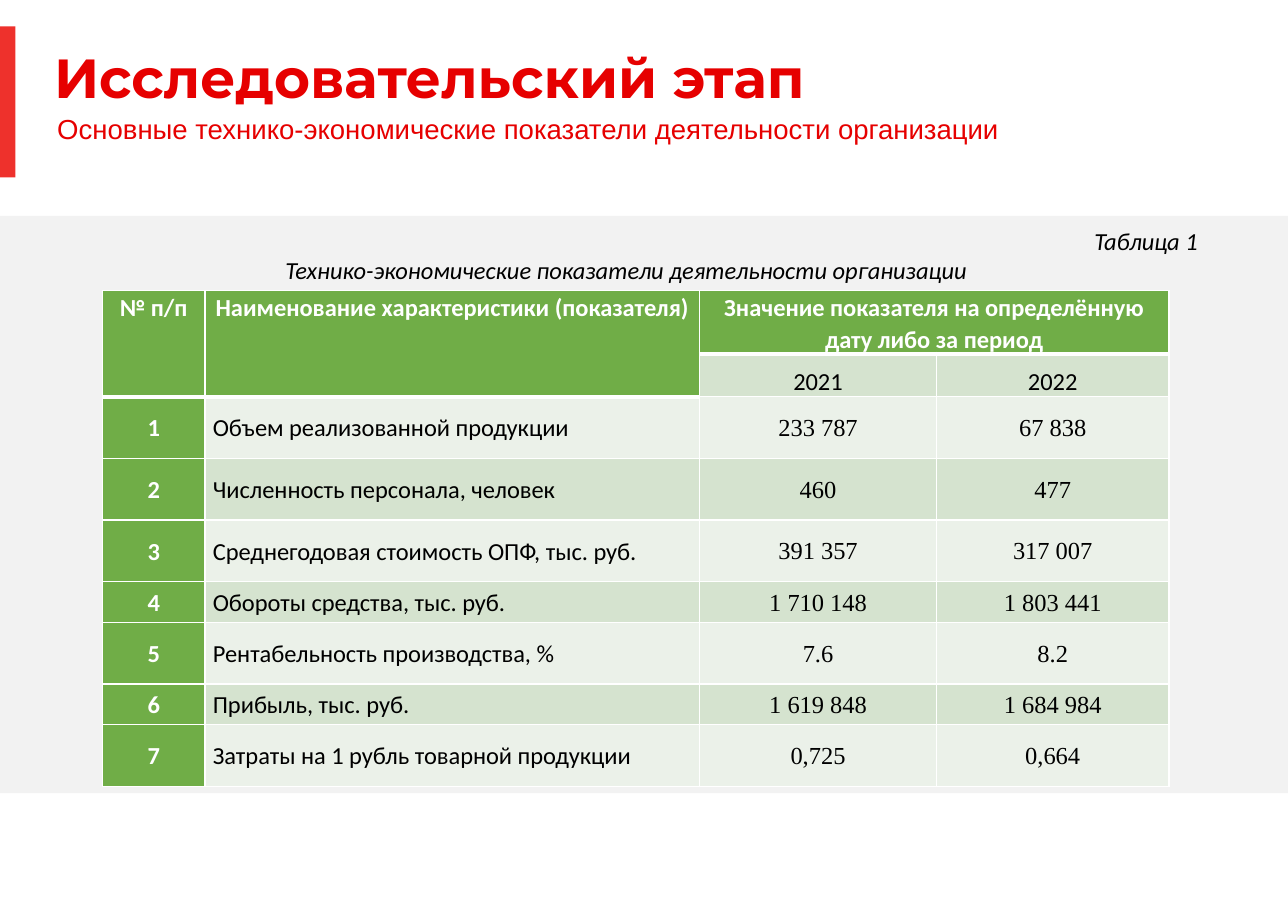
from lxml import etree
from pptx import Presentation
from pptx.dml.color import RGBColor
from pptx.enum.shapes import MSO_SHAPE
from pptx.enum.text import MSO_ANCHOR, PP_ALIGN
from pptx.oxml.ns import qn
from pptx.util import Pt

RECT = MSO_SHAPE.RECTANGLE
TOP, MIDDLE, BOTTOM = MSO_ANCHOR.TOP, MSO_ANCHOR.MIDDLE, MSO_ANCHOR.BOTTOM
LEFT, CENTER, RIGHT, JUSTIFY = (PP_ALIGN.LEFT, PP_ALIGN.CENTER,
                                PP_ALIGN.RIGHT, PP_ALIGN.JUSTIFY)

COLORS = {"white": "FFFFFF", "black": "000000", "red": "E60000",
          "bar": "EE312C", "panel": "F2F2F2", "green": "70AD47",
          "band_dark": "D5E3CF", "band_light": "EBF1E9"}

TITLE = {"name": "Montserrat", "size": Pt(36), "bold": True, "color": "red"}
SUBTITLE = {"name": "Arial", "size": Pt(18), "color": "red"}
CAPTION = {"name": "Calibri", "size": Pt(16), "italic": True, "color": "black"}
HEAD = {"name": "Calibri", "size": Pt(16), "bold": True, "color": "white"}
BODY = {"name": "Calibri", "size": Pt(16), "bold": False, "color": "black"}
NUMBER = {**BODY, "name": "Times New Roman"}

COLUMNS = [66.96, 323.28, 154.8, 151.92]
TALL, SHORT = 40.32, 26.64
ROWS = [TALL, 28.08, TALL, TALL, TALL, SHORT, TALL, SHORT, TALL]
HEADERS = [
    ["№ п/п", "Наименование характеристики (показателя)",
     "Значение показателя на определённую дату либо за период", ""],
    ["", "", "2021", "2022"],
]
INDICATORS = [
    ("Объем реализованной продукции", "233 787", "67 838"),
    ("Численность персонала, человек", "460", "477"),
    ("Среднегодовая стоимость ОПФ, тыс. руб.", "391 357", "317 007"),
    ("Обороты средства, тыс. руб.", "1 710 148", "1 803 441"),
    ("Рентабельность производства, %", "7.6", "8.2"),
    ("Прибыль, тыс. руб.", "1 619 848", "1 684 984"),
    ("Затраты на 1 рубль товарной продукции", "0,725", "0,664"),
]


def rgb(name):
    return RGBColor.from_string(COLORS[name])


def cell_style(row, col):
    """Return the font, fill, alignment and anchor for a table position."""
    band = "band_dark" if row % 2 else "band_light"
    if row == 0 or col == 0:
        anchor = MIDDLE if row > 1 else BOTTOM if col > 1 else TOP
        return HEAD, "green", CENTER, anchor
    if row == 1:
        return (HEAD, "green", CENTER, TOP) if col == 1 else (BODY, band, CENTER, BOTTOM)
    return (BODY, band, JUSTIFY, MIDDLE) if col == 1 else (NUMBER, band, CENTER, MIDDLE)


class SlideBuilder:
    def __init__(self, slide):
        self.slide = slide

    def rect(self, x, y, w, h, color):
        sp = self.slide.shapes.add_shape(RECT, Pt(x), Pt(y), Pt(w), Pt(h))
        sp.shadow.inherit = False
        sp.fill.solid()
        sp.fill.fore_color.rgb = rgb(color)
        sp.line.fill.background()

    def paragraph(self, p, text, style, align, spacing):
        p.alignment = align
        p.line_spacing = spacing
        r = p.add_run()
        r.text = text
        for key, value in style.items():
            if key == "color":
                r.font.color.rgb = rgb(value)
            else:
                setattr(r.font, key, value)

    def text(self, x, y, w, h, lines, style, anchor=TOP, spacing=1.0,
             insets=(7.2, 3.6, 7.2, 3.6)):
        """Add a text box; lines holds (text, alignment) pairs."""
        tf = self.slide.shapes.add_textbox(Pt(x), Pt(y), Pt(w), Pt(h)).text_frame
        tf.word_wrap = True
        tf.vertical_anchor = anchor
        for side, inset in zip(("left", "top", "right", "bottom"), insets):
            setattr(tf, f"margin_{side}", Pt(inset))
        for i, (line, align) in enumerate(lines):
            p = tf.add_paragraph() if i else tf.paragraphs[0]
            self.paragraph(p, line, style, align, spacing)

    def borders(self, cell, top, bottom):
        tc_pr = cell._tc.get_or_add_tcPr()
        for tag, width in (("lnL", 1), ("lnR", 1), ("lnT", top), ("lnB", bottom)):
            ln = etree.SubElement(tc_pr, qn(f"a:{tag}"), w=str(Pt(width)))
            fill = etree.SubElement(ln, qn("a:solidFill"))
            etree.SubElement(fill, qn("a:srgbClr"), val=COLORS["white"])

    def table(self, x, y, columns, rows, data):
        table = self.slide.shapes.add_table(
            len(rows), len(columns), Pt(x), Pt(y),
            Pt(sum(columns)), Pt(sum(rows))).table
        for column, width in zip(table.columns, columns):
            column.width = Pt(width)
        for row, height in zip(table.rows, rows):
            row.height = Pt(height)
        for first, last in (((0, 0), (1, 0)), ((0, 1), (1, 1)), ((0, 2), (0, 3))):
            table.cell(*first).merge(table.cell(*last))
        for i, values in enumerate(data):
            for j, value in enumerate(values):
                self.cell(table.cell(i, j), i, j, value)

    def cell(self, cell, row, col, value):
        style, color, align, anchor = cell_style(row, col)
        head_end = 1 if col < 2 else 0
        self.borders(cell, 3 if row == head_end + 1 else 1,
                     3 if row <= head_end else 1)
        cell.fill.solid()
        cell.fill.fore_color.rgb = rgb(color)
        cell.vertical_anchor = anchor
        cell.margin_left = cell.margin_right = Pt(5.2)
        cell.margin_top = cell.margin_bottom = 0
        if value:
            self.paragraph(cell.text_frame.paragraphs[0], value, style, align, 1.07)


def main():
    prs = Presentation()
    prs.slide_width, prs.slide_height = Pt(841.68), Pt(595.44)
    s = SlideBuilder(prs.slides.add_slide(prs.slide_layouts[6]))

    s.rect(0, 141.12, 841.68, 377.28, "panel")
    s.rect(0, 17.28, 10.08, 98.64, "bar")
    s.text(35.28, 33.12, 762.48, 39.6, [("Исследовательский этап", LEFT)],
           TITLE, MIDDLE, 0.9, (0, 0, 0, 0))
    s.text(22.32, 66.24, 773.28, 33.12,
           [("Основные технико-экономические показатели деятельности организации", LEFT)],
           SUBTITLE, BOTTOM, 0.9, (15.12, 4.32, 7.92, 4.32))

    numbered = [(str(n), *values) for n, values in enumerate(INDICATORS, 1)]
    s.table(66.96, 190.08, COLUMNS, ROWS, HEADERS + numbered)
    s.text(28.8, 144, 761.04, 46.08,
           [("Таблица 1", RIGHT),
            ("Технико-экономические показатели деятельности организации", CENTER)],
           CAPTION)
    prs.save("out.pptx")


if __name__ == "__main__":
    main()
